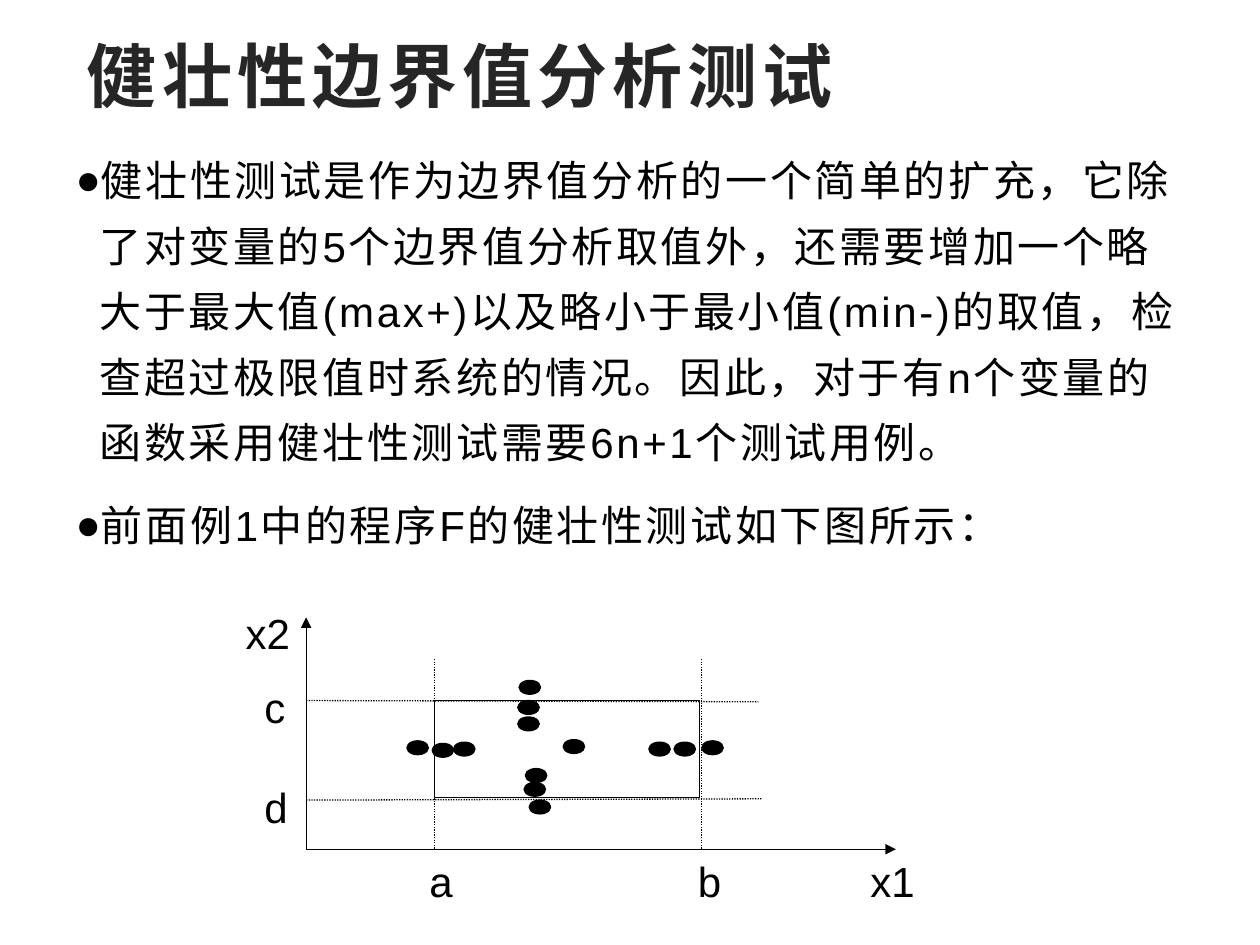
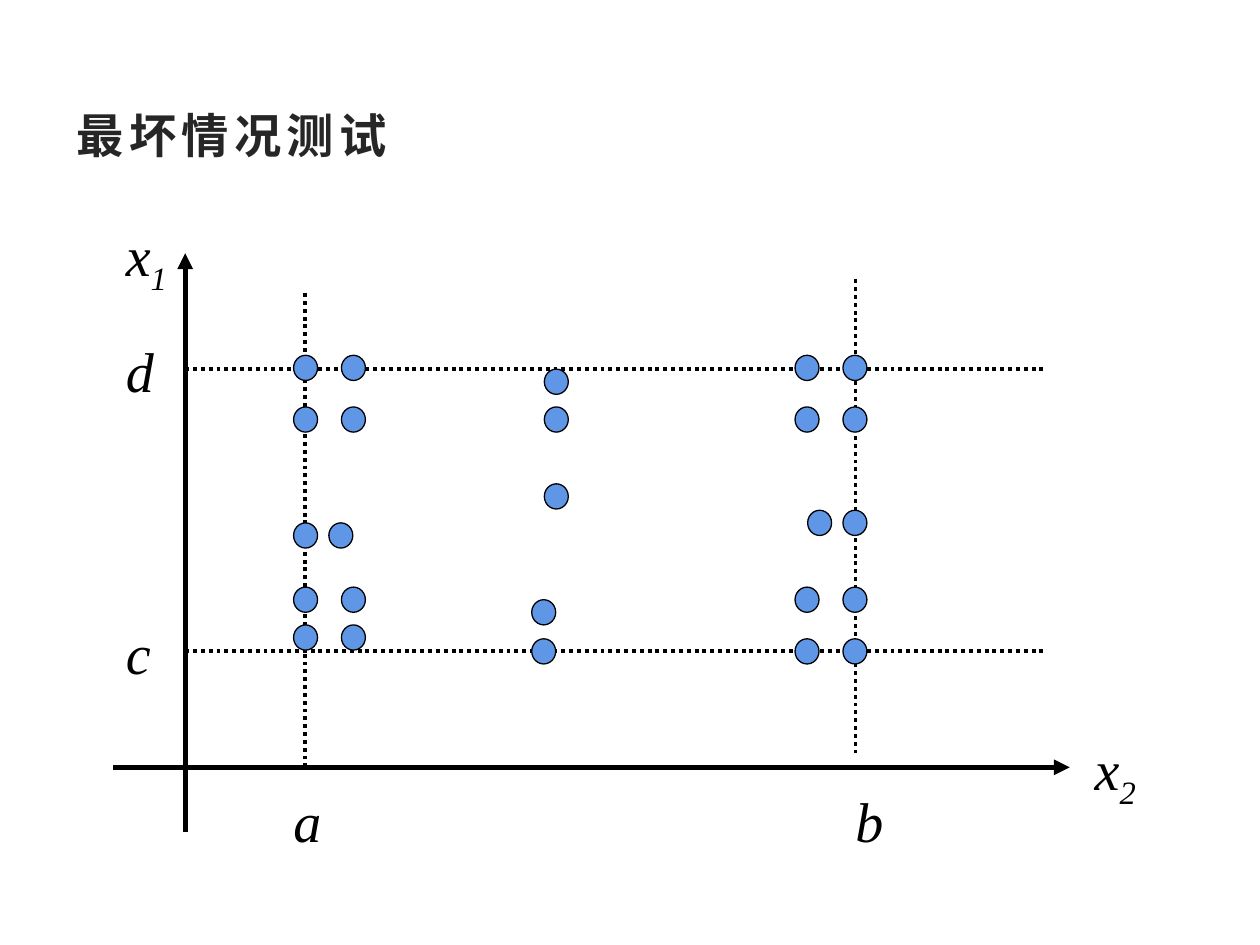
"""Build two slides on robustness and worst-case boundary value testing."""
from dataclasses import dataclass

from lxml import etree
from pptx import Presentation
from pptx import util as u
from pptx.dml.color import RGBColor
from pptx.enum import dml, shapes, text
from pptx.oxml.ns import qn

COLORS = {"title": "262626", "ink": "000000", "blue": "6096E6"}
SANS, CJK, SERIF = "Arial", "Noto Sans CJK SC", "Times New Roman"
In = u.Inches

BULLETS = [
    "健壮性测试是作为边界值分析的一个简单的扩充，它除了对变量的5个边界值分析取值外，"
    "还需要增加一个略大于最大值(max+)以及略小于最小值(min-)的取值，检查超过极限值时系统的情况。"
    "因此，对于有n个变量的函数采用健壮性测试需要6n+1个测试用例。",
    "前面例1中的程序F的健壮性测试如下图所示：",
]


@dataclass(frozen=True)
class Line:
    x1: float
    y1: float
    x2: float
    y2: float


@dataclass(frozen=True)
class Label:
    txt: str
    x: float
    y: float
    w: float
    sub: str = ""


@dataclass(frozen=True)
class LabelStyle:
    font: str
    size: int
    height: float
    italic: bool = False


@dataclass(frozen=True)
class DotStyle:
    shape: shapes.MSO_SHAPE
    w: float
    h: float
    fill: str


@dataclass(frozen=True)
class Diagram:
    axes: list[Line]
    guides: list[Line]
    labels: list[Label]
    dots: list[tuple[float, float]]
    axis_width: float
    guide_width: float
    label_style: LabelStyle
    dot_style: DotStyle


ROBUST = Diagram(
    axes=[Line(2.43, 6.74, 2.43, 4.9), Line(2.43, 6.74, 7.11, 6.74)],
    guides=[Line(2.43, 5.56, 6.02, 5.57), Line(2.43, 6.35, 6.05, 6.34)]
    + [Line(x, 5.23, x, 6.74) for x in (3.45, 5.57)],
    labels=[
        Label("x1", 6.81, 6.74, 0.79), Label("x2", 1.85, 4.77, 0.79),
        Label("a", 3.31, 6.74, 0.79), Label("b", 5.44, 6.74, 0.7),
        Label("c", 2, 5.36, 0.5), Label("d", 2, 6.15, 0.56),
    ],
    dots=[
        (4.12, 5.4), (4.11, 5.56), (4.11, 5.69),
        (4.17, 6.1), (4.16, 6.21), (4.2, 6.35),
        (3.23, 5.88), (3.43, 5.9), (3.6, 5.89), (4.47, 5.87),
        (5.15, 5.89), (5.35, 5.89), (5.57, 5.88),
    ],
    axis_width=0.75,
    guide_width=0.75,
    label_style=LabelStyle(SANS, 24, 0.4),
    dot_style=DotStyle(shapes.MSO_SHAPE.FLOWCHART_CONNECTOR, 0.17, 0.11, "ink"),
)

WORST_COLUMNS = {
    2.33: (2.82, 3.23, 4.15, 4.66, 4.96),
    2.61: (4.15,),
    2.71: (2.82, 3.23, 4.66, 4.96),
    4.22: (4.76, 5.07),
    4.32: (2.93, 3.23, 3.84),
    6.31: (2.82, 3.23, 4.66, 5.07),
    6.41: (4.05,),
    6.69: (2.82, 3.23, 4.05, 4.66, 5.07),
}

WORST = Diagram(
    axes=[Line(0.9, 6.09, 8.49, 6.09), Line(1.47, 6.6, 1.47, 2.01)],
    guides=[Line(1.47, y, 8.3, y) for y in (5.17, 2.93)]
    + [Line(2.42, 6.09, 2.42, 2.31), Line(6.79, 5.98, 6.79, 2.21)],
    labels=[
        Label("a", 2.23, 6.19, 0.38), Label("b", 6.69, 6.19, 0.38),
        Label("c", 0.9, 4.86, 0.38), Label("d", 0.9, 2.62, 0.38),
        Label("x", 0.9, 1.7, 0.76, "1"), Label("x", 8.59, 5.78, 0.66, "2"),
    ],
    dots=[(x, y) for x, ys in WORST_COLUMNS.items() for y in ys],
    axis_width=3,
    guide_width=2.25,
    label_style=LabelStyle(SERIF, 32, 0.63, italic=True),
    dot_style=DotStyle(shapes.MSO_SHAPE.OVAL, 0.19, 0.2, "blue"),
)


def rgb(name: str) -> RGBColor:
    """Look up a palette colour."""
    return RGBColor.from_string(COLORS[name])


def place(sp, x: float, y: float, w: float, h: float) -> None:
    """Position a shape, in inches."""
    sp.left, sp.top, sp.width, sp.height = In(x), In(y), In(w), In(h)


def set_font(p, name: str, size: int, color: str, bold=False, italic=False) -> None:
    """Format a whole paragraph."""
    f = p.font
    f.name, f.size, f.bold, f.italic = name, u.Pt(size), bold, italic
    f.color.rgb = rgb(color)


def set_run(p, spacing: float) -> None:
    """Set letter spacing and the East Asian typeface of a paragraph's runs."""
    for r in p.runs:
        rpr = r._r.get_or_add_rPr()
        rpr.set("spc", str(int(spacing * 100)))
        etree.SubElement(rpr, qn("a:ea")).set("typeface", CJK)


def set_title(s, txt: str, x: float, y: float, font: str, size: int) -> None:
    """Fill, move and format the title placeholder."""
    sp = s.shapes.title
    place(sp, x, y, 9, 0.77)
    tf = sp.text_frame
    tf.text = txt
    tf.auto_size = text.MSO_AUTO_SIZE.NONE
    tf.vertical_anchor = text.MSO_ANCHOR.MIDDLE
    p = tf.paragraphs[0]
    p.alignment = text.PP_ALIGN.LEFT
    set_font(p, font, size, "title", bold=True)
    set_run(p, 3)


def set_body(s, items: list[str]) -> None:
    """Fill the body placeholder with bulleted paragraphs."""
    sp = s.placeholders[1]
    place(sp, 0.5, 1.06, 9, 5.2)
    tf = sp.text_frame
    tf.text = "\n".join(items)
    tf.auto_size = text.MSO_AUTO_SIZE.NONE
    for p in tf.paragraphs:
        p.line_spacing = 1.3
        p.space_before, p.space_after = u.Pt(0), u.Pt(10)
        set_font(p, SANS, 24, "ink")
        set_run(p, 1.5)
        ppr = p._p.get_or_add_pPr()
        ppr.set("marL", str(In(0.19)))
        ppr.set("indent", str(-In(0.19)))
        bullet = etree.Element(qn("a:buChar"), char="●")
        ppr.insert(list(ppr).index(ppr.find(qn("a:defRPr"))), bullet)


def add_line(s, line: Line, width: float, arrow: bool) -> None:
    """Draw a solid arrow or a dotted guide."""
    c = s.shapes.add_connector(shapes.MSO_CONNECTOR.STRAIGHT, In(line.x1),
                               In(line.y1), In(line.x2), In(line.y2))
    c.line.color.rgb = rgb("ink")
    c.line.width = u.Pt(width)
    if arrow:
        etree.SubElement(c.line._get_or_add_ln(), qn("a:tailEnd")).set("type", "triangle")
    else:
        c.line.dash_style = dml.MSO_LINE.ROUND_DOT
    etree.SubElement(c._element.spPr, qn("a:effectLst"))


def add_label(s, label: Label, style: LabelStyle) -> None:
    """Draw an axis label with an optional subscript."""
    sp = s.shapes.add_textbox(In(label.x), In(label.y), In(label.w), In(style.height))
    tf = sp.text_frame
    tf.word_wrap = True
    p = tf.paragraphs[0]
    p.add_run().text = label.txt
    if label.sub:
        r = p.add_run()
        r.text = label.sub
        r._r.get_or_add_rPr().set("baseline", "-25000")
    set_font(p, style.font, style.size, "ink", italic=style.italic)


def add_outlined(s, kind: shapes.MSO_SHAPE, x: float, y: float, w: float, h: float,
                 fill: str = "") -> None:
    """Draw a thinly outlined shape, filled when a colour is given."""
    sp = s.shapes.add_shape(kind, In(x), In(y), In(w), In(h))
    sp.shadow.inherit = False
    sp.line.color.rgb = rgb("ink")
    sp.line.width = u.Pt(0.75)
    if fill:
        sp.fill.solid()
        sp.fill.fore_color.rgb = rgb(fill)
    else:
        sp.fill.background()


def add_diagram(s, d: Diagram) -> None:
    """Draw axes, guides, labels and test points."""
    for line in d.axes:
        add_line(s, line, d.axis_width, arrow=True)
    for line in d.guides:
        add_line(s, line, d.guide_width, arrow=False)
    for label in d.labels:
        add_label(s, label, d.label_style)
    dot = d.dot_style
    for x, y in d.dots:
        add_outlined(s, dot.shape, x, y, dot.w, dot.h, dot.fill)


def main() -> None:
    """Build and save the slides."""
    prs = Presentation()
    prs.slide_width, prs.slide_height = In(10), In(7.5)
    content, title_only = prs.slide_layouts[1], prs.slide_layouts[5]

    s = prs.slides.add_slide(content)
    set_title(s, "健壮性边界值分析测试", 0.59, 0.21, SANS, 40)
    set_body(s, BULLETS)
    add_outlined(s, shapes.MSO_SHAPE.RECTANGLE, 3.45, 5.56, 2.1, 0.77)
    add_diagram(s, ROBUST)

    s = prs.slides.add_slide(title_only)
    set_title(s, "最坏情况测试", 0.51, 0.68, CJK, 27)
    add_diagram(s, WORST)

    prs.save("out.pptx")


if __name__ == "__main__":
    main()
